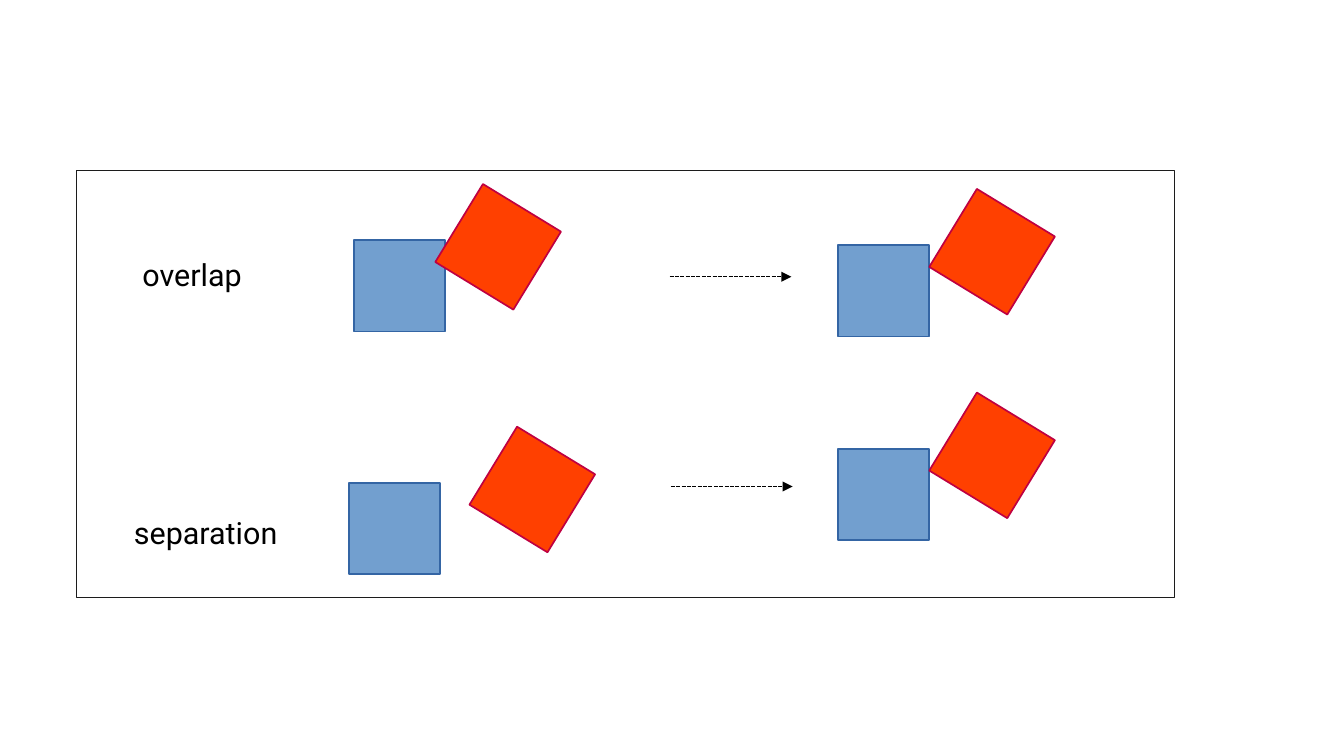
import pptx
import pptx.util
import pptx.dml.color
import pptx.enum.dml
import pptx.enum.shapes
import pptx.enum.text
import pptx.oxml
import pptx.oxml.ns
from pptx.util import Inches

COLORS = {
    "panel": "FFFFFF", "panel_edge": "1C1C1C",
    "fixed": "729FCF", "fixed_edge": "3465A4",
    "tilted": "FF4000", "tilted_edge": "BF0041",
    "ink": "000000",
}
PANEL = (0.63, 1.4, 9, 3.5)
SIDE = 0.75
TILT = 31.4
RISE = 0.32  # the tilted square sits this much above the fixed one
TOUCHING = 0.89  # horizontal offset at which the squares just touch

# Places are (x, y) from the top left corner of the row.
CASES = [
    {"name": "overlap", "label": (0.44, 0.65, 1.14), "before": (2.27, 0.57),
     "offset": 0.81, "arrow": (4.86, 0.87), "after": (6.24, 0.61)},
    {"name": "separation", "label": (0.37, 1.02, 1.53), "before": (2.23, 0.81),
     "offset": 1.13, "arrow": (4.87, 0.84), "after": (6.24, 0.53)},
]


def color(name):
    return pptx.dml.color.RGBColor.from_string(COLORS[name])


def add_rectangle(slide, box, role, line_width, rotation=0):
    rectangle = slide.shapes.add_shape(
        pptx.enum.shapes.MSO_SHAPE.RECTANGLE, *(Inches(v) for v in box))
    rectangle.shadow.inherit = False
    rectangle.rotation = rotation
    rectangle.fill.solid()
    rectangle.fill.fore_color.rgb = color(role)
    rectangle.line.color.rgb = color(role + "_edge")
    rectangle.line.width = pptx.util.Pt(line_width)


def add_square_pair(slide, left, top, offset):
    """Draw a fixed square and a tilted one shifted right by offset."""
    add_rectangle(slide, (left, top, SIDE, SIDE), "fixed", 1)
    add_rectangle(slide, (left + offset, top - RISE, SIDE, SIDE),
                  "tilted", 1, TILT)


def add_label(slide, text, left, top, width):
    label = slide.shapes.add_textbox(
        Inches(left), Inches(top), Inches(width), Inches(0.44))
    frame = label.text_frame
    frame.word_wrap = False
    frame.auto_size = pptx.enum.text.MSO_AUTO_SIZE.SHAPE_TO_FIT_TEXT
    run = frame.paragraphs[0].add_run()
    run.text = text
    run.font.name = "Roboto"
    run.font.size = pptx.util.Pt(18)
    run.font.color.rgb = color("ink")


def add_dashed_arrow(slide, left, top, length=1):
    arrow = slide.shapes.add_connector(
        pptx.enum.shapes.MSO_CONNECTOR.STRAIGHT,
        Inches(left), Inches(top), Inches(left + length), Inches(top))
    arrow.line.color.rgb = color("ink")
    arrow.line.width = pptx.util.Pt(0.79)
    arrow.line.dash_style = pptx.enum.dml.MSO_LINE.SQUARE_DOT
    head = pptx.oxml.parse_xml(
        f'<a:tailEnd {pptx.oxml.ns.nsdecls("a")} type="triangle"/>')
    arrow.line._get_or_add_ln().append(head)
    effects = pptx.oxml.parse_xml(
        f'<a:effectLst {pptx.oxml.ns.nsdecls("a")}/>')
    arrow._element.spPr.append(effects)


def add_case_row(slide, left, top, case):
    """Draw a label, the squares before, an arrow and the squares after."""
    def place(part):
        x, y, *rest = case[part]
        return (left + x, top + y, *rest)

    add_label(slide, case["name"], *place("label"))
    add_square_pair(slide, *place("before"), case["offset"])
    add_dashed_arrow(slide, *place("arrow"))
    add_square_pair(slide, *place("after"), TOUCHING)


def add_contact_panel(slide, box):
    left, top, _, height = box
    add_rectangle(slide, box, "panel", 0)
    row_height = height / len(CASES)
    for index, case in enumerate(CASES):
        add_case_row(slide, left, top + index * row_height, case)


def main():
    presentation = pptx.Presentation()
    presentation.slide_width = Inches(11.02)
    presentation.slide_height = Inches(6.2)
    slide = presentation.slides.add_slide(presentation.slide_layouts[6])
    add_contact_panel(slide, PANEL)
    presentation.save("out.pptx")


if __name__ == "__main__":
    main()
